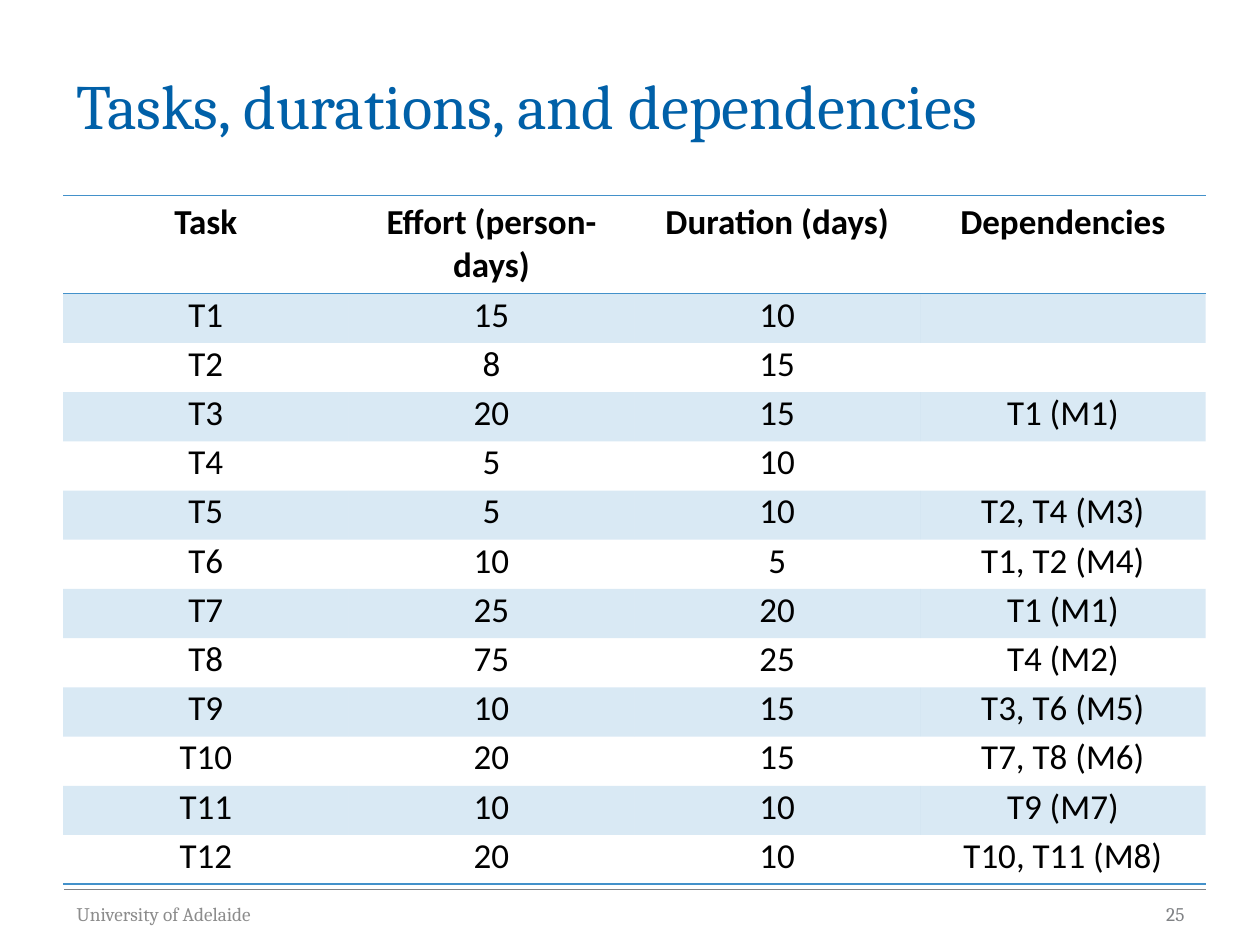
import pptx
import pptx.dml.color
import pptx.enum.shapes
import pptx.enum.text
import pptx.oxml
import pptx.oxml.ns
import pptx.util
from pptx.util import Inches

COLORS = {"title": "0060A8", "accent": "4391CA", "text": "000000",
          "footer": "8C8C8C", "gray": "808285"}
ALIGN = pptx.enum.text.PP_ALIGN
NO_STYLE_NO_GRID = "{2D5ABB26-0587-4C30-8999-92F81FD0307C}"

HEADER = ("Task", "Effort (person-days)", "Duration (days)", "Dependencies")
TASKS = [
    ("T1", "15", "10", ""),
    ("T2", "8", "15", ""),
    ("T3", "20", "15", "T1 (M1)"),
    ("T4", "5", "10", ""),
    ("T5", "5", "10", "T2, T4 (M3)"),
    ("T6", "10", "5", "T1, T2 (M4)"),
    ("T7", "25", "20", "T1 (M1)"),
    ("T8", "75", "25", "T4 (M2)"),
    ("T9", "10", "15", "T3, T6 (M5)"),
    ("T10", "20", "15", "T7, T8 (M6)"),
    ("T11", "10", "10", "T9 (M7)"),
    ("T12", "20", "10", "T10, T11 (M8)"),
]


def rgb(name):
    return pptx.dml.color.RGBColor.from_string(COLORS[name])


class SlideBuilder:
    heading_font = "Cambria"
    body_font = "Calibri"

    def __init__(self, deck):
        self.slide = deck.slides.add_slide(deck.slide_layouts[5])

    def set_text(self, frame, text, size, color, font, align=ALIGN.LEFT, bold=False):
        paragraph = frame.paragraphs[0]
        paragraph.text = text
        paragraph.alignment = align
        paragraph.font.size = pptx.util.Pt(size)
        paragraph.font.name = font
        paragraph.font.bold = bold
        paragraph.font.color.rgb = rgb(color)

    def heading(self, shape, text, size, color, align=ALIGN.LEFT):
        frame = shape.text_frame
        frame.word_wrap = True
        frame.auto_size = pptx.enum.text.MSO_AUTO_SIZE.NONE
        frame.vertical_anchor = pptx.enum.text.MSO_ANCHOR.MIDDLE
        self.set_text(frame, text, size, color, self.heading_font, align)

    def title(self, text, left, top, width, height):
        title = self.slide.shapes.title
        title.left, title.top = Inches(left), Inches(top)
        title.width, title.height = Inches(width), Inches(height)
        self.heading(title, text, 36, "title")

    def footer(self, text, left, width, color, align=ALIGN.LEFT):
        box = self.slide.shapes.add_textbox(
            Inches(left), Inches(7.05), Inches(width), Inches(0.4))
        self.heading(box, text, 11, color, align)

    def rule(self, left, right, y):
        line = self.slide.shapes.add_connector(
            pptx.enum.shapes.MSO_CONNECTOR.STRAIGHT,
            Inches(left), Inches(y), Inches(right), Inches(y))
        line.line.color.rgb = rgb("gray")
        line.line.width = pptx.util.Pt(0.75)
        line._element.spPr.append(pptx.oxml.parse_xml(
            f'<a:effectLst {pptx.oxml.ns.nsdecls("a")}/>'))

    def border(self, cell, side):
        cell._tc.get_or_add_tcPr().append(pptx.oxml.parse_xml(
            f'<a:ln{side} {pptx.oxml.ns.nsdecls("a")} w="12700"><a:solidFill>'
            f'<a:srgbClr val="{COLORS["accent"]}"/></a:solidFill></a:ln{side}>'))

    def tint(self, cell, percent):
        cell.fill.solid()
        cell.fill.fore_color.rgb = rgb("accent")
        fill = cell._tc.tcPr.find(pptx.oxml.ns.qn("a:solidFill"))
        fill[0].append(pptx.oxml.parse_xml(
            f'<a:alpha {pptx.oxml.ns.nsdecls("a")} val="{percent * 1000}"/>'))

    def table(self, rows, left, top, width, header_height, row_height):
        height = header_height + row_height * (len(rows) - 1)
        table = self.slide.shapes.add_table(
            len(rows), len(rows[0]), Inches(left), Inches(top),
            Inches(width), Inches(height)).table
        properties = table._tbl.tblPr
        properties.find(pptx.oxml.ns.qn("a:tableStyleId")).text = NO_STYLE_NO_GRID
        table.horz_banding = False
        for r, values in enumerate(rows):
            table.rows[r].height = Inches(row_height if r else header_height)
            for c, value in enumerate(values):
                self.cell(table.cell(r, c), value, r, r == len(rows) - 1)

    def cell(self, cell, text, row, is_last):
        is_header = row == 0
        cell.margin_left = cell.margin_right = Inches(0.06)
        cell.margin_top = Inches(0.05 if is_header else 0)
        cell.margin_bottom = Inches(0.05)
        self.set_text(cell.text_frame, text, 20, "text", self.body_font,
                      ALIGN.CENTER, is_header)
        if is_header:
            self.border(cell, "T")
        if is_header or is_last:
            self.border(cell, "B")
        if row % 2:
            self.tint(cell, 20)
        else:
            cell.fill.background()


def main():
    deck = pptx.Presentation()
    deck.slide_width, deck.slide_height = Inches(10), Inches(7.5)
    page = SlideBuilder(deck)

    # Title
    page.title("Tasks, durations, and dependencies", 0.51, 0.36, 9, 0.93)

    # Footer
    page.rule(0.51, 9.57, 7.06)
    page.footer("University of Adelaide", 0.51, 2.28, "footer")
    page.footer("25", 7.83, 1.67, "gray", ALIGN.RIGHT)

    # Task table
    page.table([HEADER] + TASKS, 0.5, 1.55, 9.07, 0.74, 0.37)

    deck.save("out.pptx")


if __name__ == "__main__":
    main()
